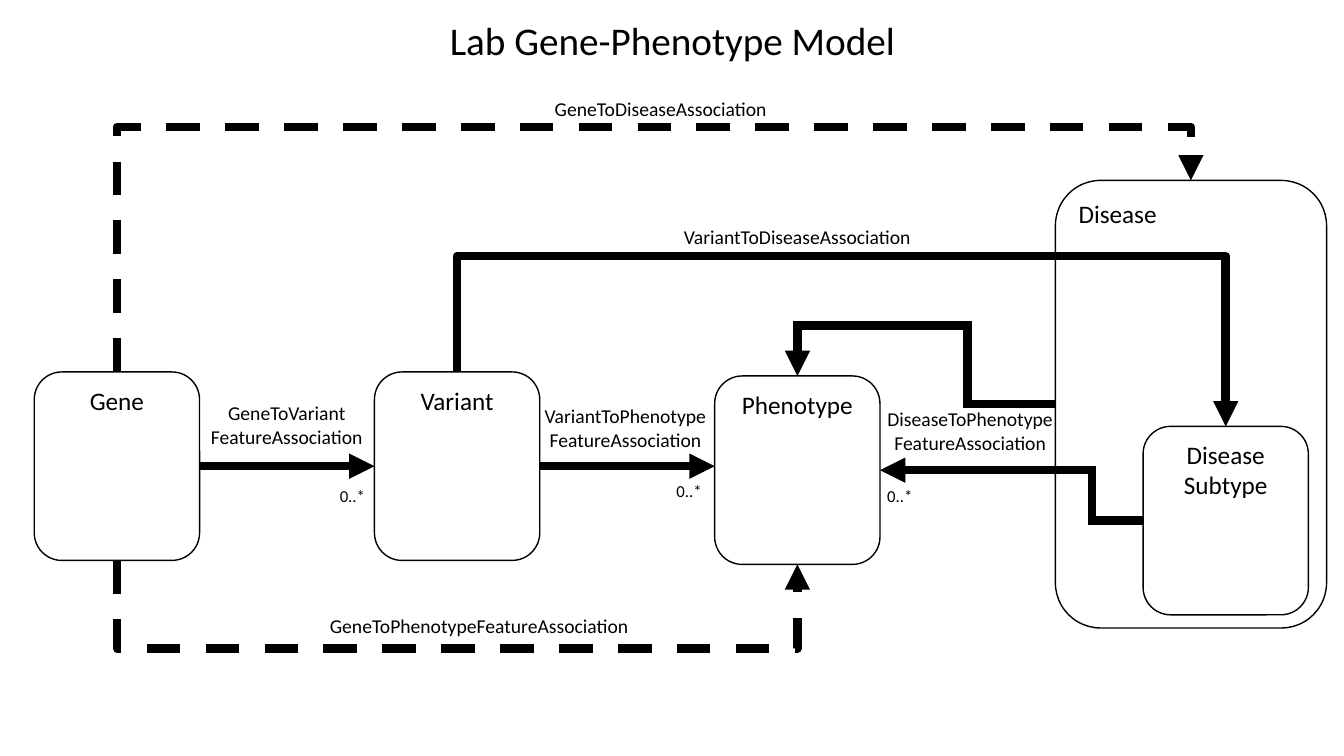
"""Build the gene to phenotype model slide on a grid of tenth-inch cells."""
from dataclasses import dataclass
from itertools import cycle

from lxml import etree
from pptx import Presentation, util as u
from pptx.dml.color import RGBColor
from pptx.enum import dml, shapes, text
from pptx.oxml import ns

COLS, ROWS = 133.33, 75
WIDE, TALL = 16.4, 18.7
LEFT, STEP = 3.4, 33.75
HALF = WIDE / 2
GENE, VAR, PHEN = (LEFT + STEP * i for i in range(3))
SUB, SICK = 113.4, 104.7
TOP, LOW, SUBTOP = 36.9, 37.3, 42.3
MID = TOP + TALL / 2
INK, PAPER = "000000", "FFFFFF"
ALIGN = text.PP_ALIGN
SIDE, HEAD = ALIGN.LEFT, ALIGN.CENTER


@dataclass
class Node:
    """A rounded box with its title."""
    x: float
    y: float
    words: str
    wide: float = WIDE
    tall: float = TALL
    align: ALIGN = HEAD


@dataclass
class Label:
    """A free line or two of text."""
    x: float
    y: float
    wide: float
    tall: float
    words: str
    size: int = 14
    align: ALIGN = HEAD


@dataclass
class Link:
    """An arrow with the lanes it bends along, in order."""
    start: tuple[float, float]
    end: tuple[float, float]
    lanes: tuple[float, ...] = ()
    turned: bool = False
    dashed: bool = False
    sharp: bool = False


NODES = [
    Node(GENE, TOP, "Gene"),
    Node(VAR, TOP, "Variant"),
    Node(PHEN, LOW, "Phenotype"),
    Node(SICK, 17.9, "Disease", 26.9, 44.4, SIDE),
    Node(SUB, SUBTOP, "Disease\nSubtype"),
]
LINKS = [
    Link((GENE + WIDE, MID), (VAR, MID)),
    Link((VAR + WIDE, MID), (PHEN, MID)),
    Link((GENE + HALF, TOP + TALL), (PHEN + HALF, LOW + TALL), (64.3,), True, True),
    Link((GENE + HALF, TOP), (SICK + 13.45, 17.9), (12.6,), True, True),
    Link((VAR + HALF, TOP), (SUB + HALF, SUBTOP), (25.4,), True),
    Link((SICK, 40.1), (PHEN + HALF, LOW), (96, 32.3), sharp=True),
    Link((SUB, SUBTOP + TALL / 2), (PHEN + WIDE, LOW + TALL / 2), (108.3,), sharp=True),
]
LABELS = [
    Label(50.3, 9.1, 30.5, 3.4, "GeneToDiseaseAssociation"),
    Label(61.4, 21.8, 35.4, 3.4, "VariantToDiseaseAssociation"),
    Label(26.2, 60.4, 42.7, 3.4, "GeneToPhenotypeFeatureAssociation"),
    Label(18.7, 39.3, 19.5, 5.7, "GeneToVariant\nFeatureAssociation"),
    Label(52.3, 39.6, 19.5, 5.7, "VariantToPhenotype\nFeatureAssociation"),
    Label(86.9, 39.9, 18.7, 5.7, "DiseaseToPhenotype\nFeatureAssociation"),
    *(Label(x, y, 5.2, 3, "0..*", 12, ALIGN.RIGHT)
      for x, y in ((32, 47.7), (65.4, 47.2), (86.3, 47.7))),
]


def cell(count: float) -> int:
    """Turn a count of grid cells into a length."""
    return u.Inches(count / 10)


def hue(code: str) -> RGBColor:
    """Turn a hex string into a colour."""
    return RGBColor.from_string(code)


def apply(thing: object, form: dict) -> None:
    """Set each format value on an object."""
    for key, val in form.items():
        setattr(thing, key, val)


def write(frame, words: str, size: int, align: ALIGN, **form) -> None:
    """Fill a text frame, one paragraph a line."""
    apply(frame, {"text": words, "word_wrap": True, **form})
    for para in frame.paragraphs:
        para.alignment = align
        apply(para.font, {"name": "Calibri", "size": u.Pt(size)})
        para.font.color.rgb = hue(INK)


def box(slide, node: Node) -> None:
    """Draw a rounded box."""
    shape = slide.shapes.add_shape(
        shapes.MSO_SHAPE.ROUNDED_RECTANGLE,
        *map(cell, (node.x, node.y, node.wide, node.tall)))
    shape.shadow.inherit = False
    shape.fill.solid()
    shape.fill.fore_color.rgb = hue(PAPER)
    shape.line.color.rgb = hue(INK)
    shape.line.width = u.Pt(1)
    write(shape.text_frame, node.words, 18, node.align,
          vertical_anchor=text.MSO_ANCHOR.TOP)


def note(slide, label: Label, **form) -> None:
    """Draw a text box."""
    shape = slide.shapes.add_textbox(
        *map(cell, (label.x, label.y, label.wide, label.tall)))
    write(shape.text_frame, label.words, label.size, label.align, **form)


def bend(line, link: Link) -> None:
    """Lay a bent connector along its lanes."""
    (ax, ay), (bx, by) = link.start, link.end
    wide, tall = abs(bx - ax), abs(by - ay)
    turn, flips = 180, ""
    if link.turned:
        wide, tall = tall, wide
        turn, flips = (90, "HV") if by < ay else (270, "H")
    apply(line, {"left": cell((ax + bx - wide) / 2), "top": cell((ay + by - tall) / 2),
                 "width": cell(wide), "height": cell(tall)})
    props = line._element.spPr
    frame = props.find(ns.qn("a:xfrm"))
    for side in "HV":
        frame.set("flip" + side, str(int(side in flips)))
    frame.set("rot", str(turn * 60000))
    geom = props.find(ns.qn("a:prstGeom"))
    geom.set("prst", f"bentConnector{len(link.lanes) + 2}")
    guides = geom.find(ns.qn("a:avLst"))
    axes = cycle((1, 0) if link.turned else (0, 1))
    for num, (lane, axis) in enumerate(zip(link.lanes, axes), 1):
        share = (lane - link.start[axis]) / (link.end[axis] - link.start[axis])
        etree.SubElement(guides, ns.qn("a:gd"), name=f"adj{num}",
                         fmla=f"val {round(share * 100000)}")


def join(slide, link: Link) -> None:
    """Draw an arrow."""
    kind = shapes.MSO_CONNECTOR.ELBOW if link.lanes else shapes.MSO_CONNECTOR.STRAIGHT
    line = slide.shapes.add_connector(kind, *map(cell, link.start + link.end))
    if link.lanes:
        bend(line, link)
    line.line.color.rgb = hue(INK)
    line.line.width = u.Pt(6)
    if link.dashed:
        line.line.dash_style = dml.MSO_LINE.DASH
    stroke = line.line._get_or_add_ln()
    if link.sharp:
        etree.SubElement(stroke, ns.qn("a:miter"), lim="800000")
    etree.SubElement(stroke, ns.qn("a:tailEnd"), type="triangle")
    etree.SubElement(line._element.spPr, ns.qn("a:effectLst"))


def main() -> None:
    """Build and save the slide."""
    deck = Presentation()
    apply(deck, {"slide_width": cell(COLS), "slide_height": cell(ROWS)})
    slide = deck.slides.add_slide(deck.slide_layouts[6])
    for node in NODES:
        box(slide, node)
    for link in LINKS:
        join(slide, link)
    note(slide, Label(9.2, 0.7, 115, 6.6, "Lab Gene-Phenotype Model", 28),
         vertical_anchor=text.MSO_ANCHOR.MIDDLE)
    for label in LABELS:
        note(slide, label, auto_size=text.MSO_AUTO_SIZE.SHAPE_TO_FIT_TEXT)
    deck.save("out.pptx")


main()
